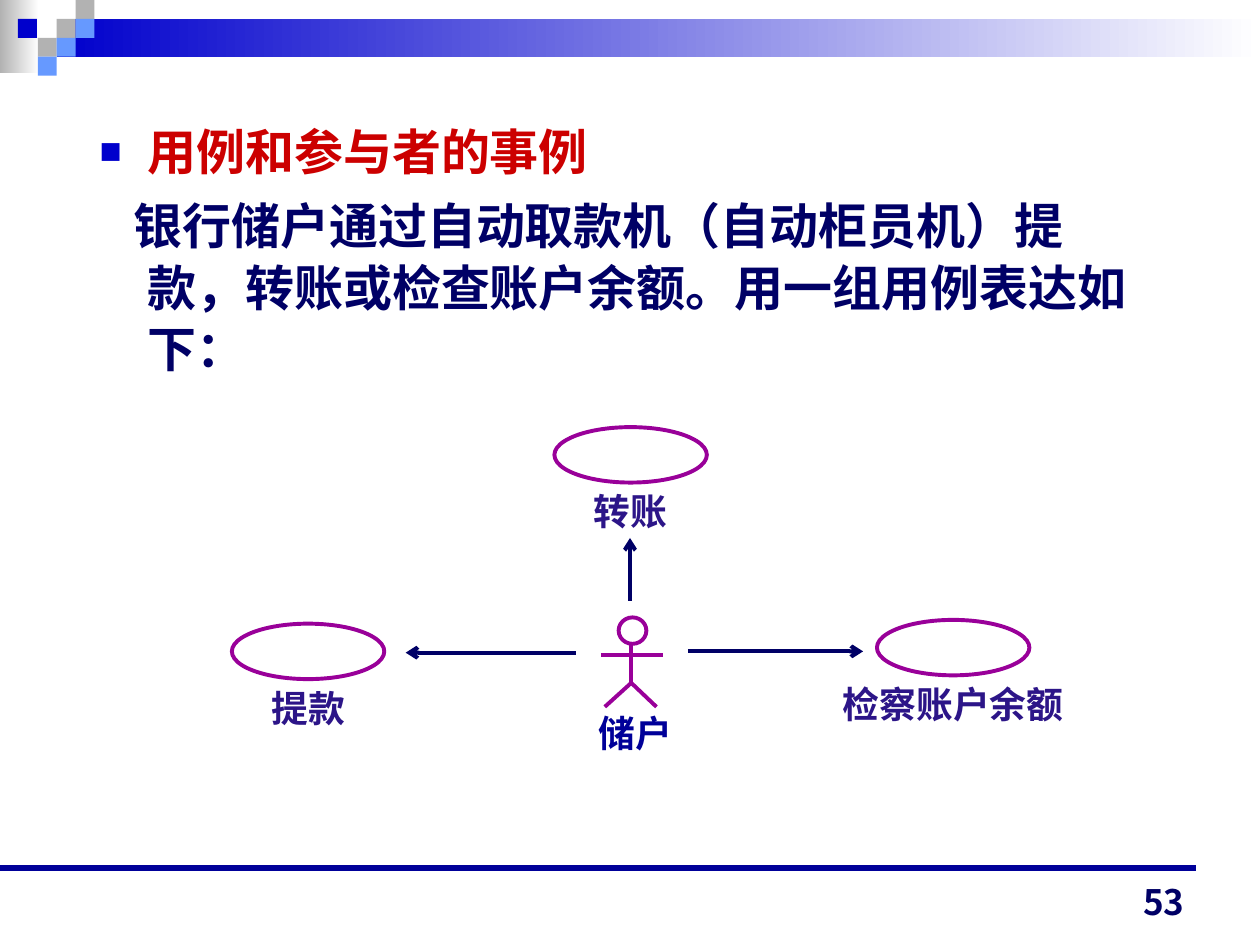
"""Build a slide showing a bank customer and three use cases."""
from lxml.etree import SubElement
from pptx import Presentation
from pptx.dml.color import RGBColor
from pptx.enum.shapes import MSO_CONNECTOR, MSO_SHAPE
from pptx.enum.text import MSO_ANCHOR, MSO_AUTO_SIZE, PP_ALIGN
from pptx.oxml.ns import qn
from pptx.util import Inches, Pt

WHITE = RGBColor(0xFF, 0xFF, 0xFF)
GRAY = RGBColor(0xB2, 0xB2, 0xB2)
BLUE = RGBColor(0x00, 0x00, 0xCC)
SKY = RGBColor(0x66, 0x99, 0xFF)
NAVY = RGBColor(0x00, 0x00, 0x66)
RULE = RGBColor(0x00, 0x00, 0x99)
RED = RGBColor(0xCC, 0x00, 0x00)
PURPLE = RGBColor(0x99, 0x00, 0x99)
INDIGO = RGBColor(0x2C, 0x15, 0x88)

TILE = 0.15
BANDS = [((0, 0, 0.31, 0.58), GRAY), ((0.45, 0.15, 9.55, 0.3), BLUE)]
TILES = [(3, 1, GRAY), (4, 0, GRAY), (4, 1, SKY), (2, 2, GRAY),
         (0.95, 1, BLUE), (3, 2, SKY), (2, 3, SKY)]
BODY = [
    ("用例和参与者的事例", RED, -0.38, True),
    ("银行储户通过自动取款机（自动柜员机）提款，转账或检查账户余额。用一组用例表达如下：",
     NAVY, -0.11, False),
]
OVAL_W, OVAL_H = 1.21, 0.44
USE_CASES = [("转账", 4.4, 3.39, 0.78), ("提款", 1.84, 4.95, 0.78),
             ("检察账户余额", 6.96, 4.92, 1.95)]
HIP = (5.01, 5.42)
LIMBS = [((4.77, 5.2), (5.26, 5.2)), ((5.01, 5.1), HIP),
         (HIP, (4.8, 5.61)), (HIP, (5.21, 5.61))]
ARROWS = [((5.46, 5.17), (6.85, 5.17)), ((4.57, 5.18), (3.22, 5.18)),
          ((5, 4.77), (5, 4.27))]


def set_all(obj, **values):
    for name, value in values.items():
        setattr(obj, name, value)


def add_shape(s, kind, box, fill=None, fade=None, line=None):
    sp = s.shapes.add_shape(kind, *map(Inches, box))
    sp.shadow.inherit = False
    if fade is not None:
        sp.fill.gradient()
        sp.fill.gradient_angle = 0
        for stop, color in zip(sp.fill.gradient_stops, (fade, WHITE)):
            stop.color.rgb = color
    elif fill is not None:
        sp.fill.solid()
        sp.fill.fore_color.rgb = fill
    else:
        sp.fill.background()
    if line is None:
        sp.line.fill.background()
    else:
        sp.line.color.rgb = line
        sp.line.width = Pt(2.25)


def add_line(s, start, end, color, width=2.25, arrow=False):
    cx = s.shapes.add_connector(MSO_CONNECTOR.STRAIGHT, *map(Inches, start + end))
    cx.line.color.rgb = color
    cx.line.width = Pt(width)
    if arrow:
        SubElement(cx._element.spPr.find(qn("a:ln")), qn("a:tailEnd"), type="arrow")
    SubElement(cx._element.spPr, qn("a:effectLst"))


def add_text(s, text, box, color, size=21, font="Times New Roman",
             align=PP_ALIGN.CENTER, anchor=MSO_ANCHOR.TOP, wrap=False):
    tf = s.shapes.add_textbox(*map(Inches, box)).text_frame
    set_all(tf, word_wrap=wrap, vertical_anchor=anchor)
    p = tf.paragraphs[0]
    p.alignment = align
    r = p.add_run()
    r.text = text
    set_all(r.font, name=font, size=Pt(size), bold=True)
    r.font.color.rgb = color


def fill_body(sp):
    box = zip(("left", "top", "width", "height"), map(Inches, (0.69, 0.89, 8.6, 2.19)))
    set_all(sp, **dict(box))
    tf = sp.text_frame
    set_all(tf, auto_size=MSO_AUTO_SIZE.NONE, vertical_anchor=MSO_ANCHOR.TOP)
    for i, (text, color, indent, bullet) in enumerate(BODY):
        p = tf.add_paragraph() if i else tf.paragraphs[0]
        set_all(p, line_spacing=1.05, space_before=Pt(7))
        pPr = p._p.get_or_add_pPr()
        pPr.set("marL", str(Inches(0.38)))
        pPr.set("indent", str(Inches(indent)))
        pPr.set("hangingPunct", "0")
        if bullet:
            clr = SubElement(pPr, qn("a:buClr"))
            SubElement(clr, qn("a:srgbClr"), val=str(BLUE))
            SubElement(pPr, qn("a:buSzPct"), val="75000")
            SubElement(pPr, qn("a:buFont"), typeface="Arial")
            SubElement(pPr, qn("a:buChar"), char="■")
        else:
            SubElement(pPr, qn("a:buNone"))
        r = p.add_run()
        r.text = text
        set_all(r.font, name="Arial", size=Pt(28), bold=True)
        r.font.color.rgb = color


def main():
    prs = Presentation()
    set_all(prs, slide_width=Inches(10), slide_height=Inches(7.5))
    s = prs.slides.add_slide(prs.slide_layouts[1])
    title = s.shapes.title._element
    title.getparent().remove(title)
    fill_body(s.placeholders[1])

    for box, color in BANDS:
        add_shape(s, MSO_SHAPE.RECTANGLE, box, fade=color)
    for col, row, color in TILES:
        add_shape(s, MSO_SHAPE.RECTANGLE, (col * TILE, row * TILE, TILE, TILE), fill=color)
    add_line(s, (0, 6.89), (9.49, 6.89), RULE, width=3)

    for label, x, y, w in USE_CASES:
        add_shape(s, MSO_SHAPE.OVAL, (x, y, OVAL_W, OVAL_H), line=PURPLE)
        add_text(s, label, (x + (OVAL_W - w) / 2, y + OVAL_H, w, 0.45), INDIGO)

    add_shape(s, MSO_SHAPE.OVAL, (4.91, 4.9, 0.22, 0.21), line=PURPLE)
    for start, end in LIMBS:
        add_line(s, start, end, PURPLE)
    for start, end in ARROWS:
        add_line(s, start, end, NAVY, arrow=True)
    add_text(s, "储户", (4.65, 5.59, 0.78, 0.45), RULE)
    add_text(s, "53", (7.17, 6.92, 2.33, 0.45), NAVY, size=20, font="Noto Sans CJK JP",
             align=PP_ALIGN.RIGHT, anchor=MSO_ANCHOR.BOTTOM, wrap=True)
    prs.save("out.pptx")


if __name__ == "__main__":
    main()
